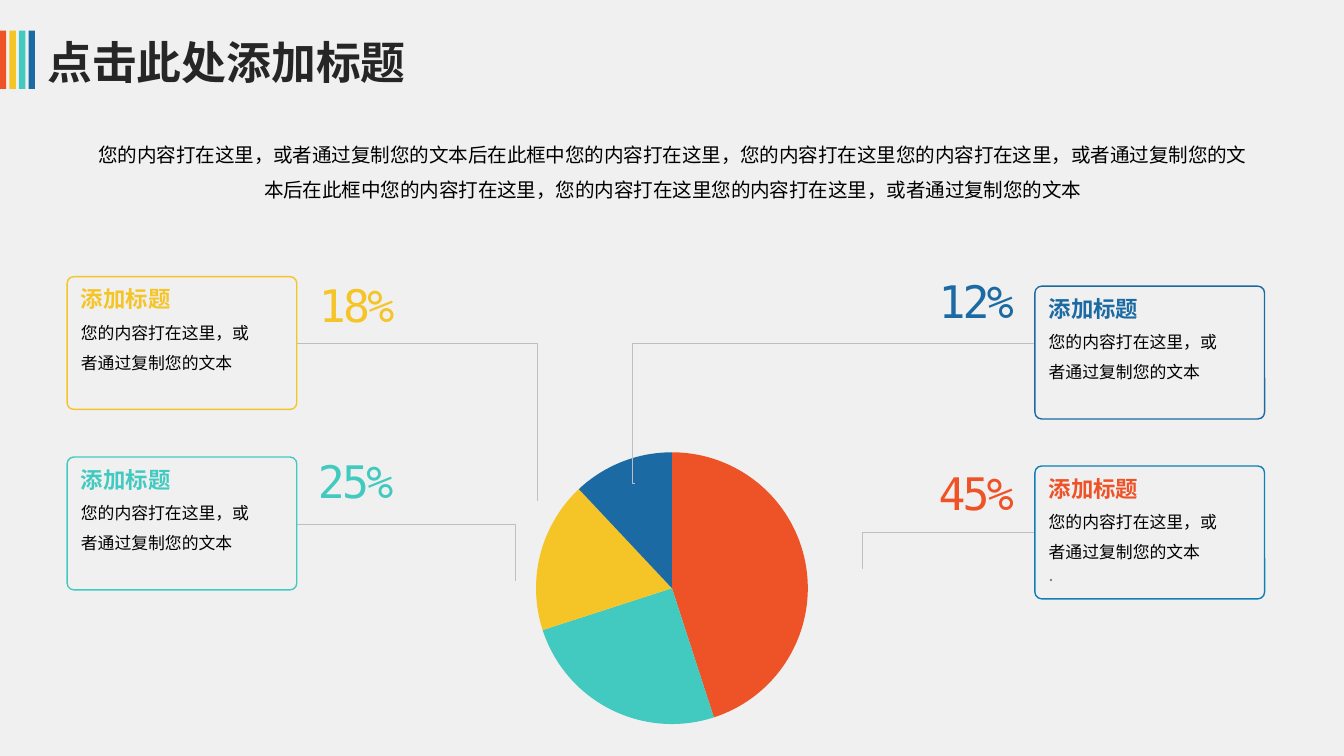
from dataclasses import dataclass

from lxml import etree
from pptx import Presentation
from pptx.chart.data import CategoryChartData
from pptx.dml.color import RGBColor
from pptx.enum.chart import XL_CHART_TYPE
from pptx.enum.shapes import MSO_CONNECTOR, MSO_SHAPE
from pptx.enum.text import MSO_ANCHOR, MSO_AUTO_SIZE, PP_ALIGN
from pptx.oxml.ns import qn
from pptx.util import Cm, Pt

PIE = XL_CHART_TYPE.PIE
ELBOW = MSO_CONNECTOR.ELBOW
RECT = MSO_SHAPE.RECTANGLE
ROUNDED = MSO_SHAPE.ROUNDED_RECTANGLE
MIDDLE = MSO_ANCHOR.MIDDLE
GROW = MSO_AUTO_SIZE.SHAPE_TO_FIT_TEXT
CENTER = PP_ALIGN.CENTER


@dataclass(frozen=True)
class Theme:
    background: str = "F0F0F0"
    red: str = "ED5326"
    yellow: str = "F5C527"
    teal: str = "42CAC0"
    blue: str = "1B6AA3"
    bright_blue: str = "0E7FB7"
    title: str = "262626"
    text: str = "000000"
    dot: str = "808080"
    leader: str = "BFBFBF"
    latin: str = "Calibri"
    cjk: str = "Noto Sans CJK SC"
    mono: str = "DejaVu Sans Mono"
    title_size: float = 24
    percent_size: float = 24
    heading_size: float = 12
    intro_size: float = 10.5
    body_size: float = 9
    chart_size: float = 18


T = Theme()
CARD_W, CARD_H = 4.34, 2.51
LEFT_X, RIGHT_X = 1.27, 19.56
HEADING = "添加标题"
BODY = "您的内容打在这里，或者通过复制您的文本"
INTRO = (
    "您的内容打在这里，或者通过复制您的文本后在此框中您的内容打在这里，"
    "您的内容打在这里您的内容打在这里，或者通过复制您的文本后在此框中"
    "您的内容打在这里，您的内容打在这里您的内容打在这里，或者通过复制您的文本"
)


def rgb(color):
    return RGBColor.from_string(color)


def style(p, size, color, font=T.cjk, bold=False, spacing=None, align=None):
    p.line_spacing = spacing
    p.alignment = align
    for r in p.runs:
        r.font.size = Pt(size)
        r.font.bold = bold
        r.font.name = font
        r.font.color.rgb = rgb(color)
        ea = etree.SubElement(r.font._element, qn("a:ea"))
        ea.set("typeface", T.cjk)


def add_shape(slide, kind, x, y, w, h, fill=None, line=None):
    sp = slide.shapes.add_shape(kind, Cm(x), Cm(y), Cm(w), Cm(h))
    sp.shadow.inherit = False
    if fill:
        sp.fill.solid()
        sp.fill.fore_color.rgb = rgb(fill)
    else:
        sp.fill.background()
    if line:
        sp.line.color.rgb = rgb(line)
        sp.line.width = Pt(0.75)
    else:
        sp.line.fill.background()
    return sp


def add_text(slide, x, y, w, h, text, wrap=True):
    tf = slide.shapes.add_textbox(Cm(x), Cm(y), Cm(w), Cm(h)).text_frame
    tf.margin_left = tf.margin_right = Cm(0.13)
    tf.margin_top = tf.margin_bottom = Cm(0.07)
    tf.word_wrap = wrap
    tf.auto_size = GROW
    tf.text = text
    return tf


def add_title(slide):
    for i, color in enumerate((T.red, T.yellow, T.teal, T.blue)):
        add_shape(slide, RECT, i * 0.18, 0.58, 0.12, 1.1, fill=color)
    sp = add_shape(slide, ROUNDED, 0.46, 0.53, 8.81, 1.27)
    sp.adjustments[0] = 0.5
    tf = sp.text_frame
    tf.vertical_anchor = MIDDLE
    tf.text = "点击此处添加标题"
    style(tf.paragraphs[0], T.title_size, T.title, T.latin, True, align=PP_ALIGN.LEFT)


def add_intro(slide):
    tf = add_text(slide, 1.55, 2.44, 22.35, 1.42, INTRO)
    tf.vertical_anchor = MIDDLE
    style(tf.paragraphs[0], T.intro_size, T.text, spacing=1.5, align=CENTER)


def add_pie(slide):
    data = CategoryChartData()
    data.categories = ["1", "2", "3", "4"]
    data.add_series("Series 1", (45, 25, 18, 12))
    chart = slide.shapes.add_chart(PIE, Cm(7.06), Cm(8.2), Cm(11.28), Cm(5.84), data).chart
    chart.has_legend = False
    chart.has_title = False
    chart.font.name = T.latin
    chart.font.size = Pt(T.chart_size)
    chart.font.color.rgb = rgb(T.text)
    plot = chart.plots[0]
    plot.vary_by_categories = False
    for i, color in enumerate((T.red, T.teal, T.yellow, T.blue)):
        fill = plot.series[0].points[i].format.fill
        fill.solid()
        fill.fore_color.rgb = rgb(color)
    area = chart._chartSpace.find(".//" + qn("c:plotArea"))
    layout = area.find(qn("c:layout"))
    if layout is None:
        layout = etree.Element(qn("c:layout"))
        area.insert(0, layout)
    manual = etree.SubElement(layout, qn("c:manualLayout"))
    settings = (("layoutTarget", "inner"), ("xMode", "edge"), ("yMode", "edge"),
                ("x", "0.27"), ("y", "0.06"), ("w", "0.46"), ("h", "0.88"))
    for name, value in settings:
        etree.SubElement(manual, qn("c:" + name)).set("val", value)


def add_card(slide, x, y, color, border, dot=False):
    sp = add_shape(slide, ROUNDED, x, y, CARD_W, CARD_H, line=border)
    sp.adjustments[0] = 0.05
    tf = add_text(slide, x + 0.13, y - 0.16, 3.68, 2.49 if dot else 2.06, HEADING)
    style(tf.paragraphs[0], T.heading_size, color, bold=True, spacing=1.5)
    p = tf.add_paragraph()
    p.text = BODY
    style(p, T.body_size, T.text, spacing=1.5)
    if dot:
        p = tf.add_paragraph()
        p.text = "."
        style(p, T.intro_size, T.dot, T.latin)


def add_percent(slide, x, y, text, color):
    tf = add_text(slide, x, y, 1.8, 1.14, text, wrap=False)
    p = tf.paragraphs[0]
    style(p, T.percent_size, color, T.mono, align=CENTER)
    p.runs[0].font._element.set("spc", "-150")


def add_leader(slide, x1, y1, x2, y2, bend):
    cxn = slide.shapes.add_connector(ELBOW, Cm(x1), Cm(y1), Cm(x2), Cm(y2))
    cxn.line.color.rgb = rgb(T.leader)
    cxn.line.width = Pt(0.5)
    props = cxn._element.spPr
    guides = props.find(qn("a:prstGeom")).find(qn("a:avLst"))
    guide = etree.SubElement(guides, qn("a:gd"))
    guide.set("name", "adj1")
    guide.set("fmla", f"val {bend}")
    etree.SubElement(props, qn("a:effectLst"))


def main():
    prs = Presentation()
    prs.slide_width, prs.slide_height = Cm(25.4), Cm(14.29)
    slide = prs.slides.add_slide(prs.slide_layouts[6])
    slide.background.fill.solid()
    slide.background.fill.fore_color.rgb = rgb(T.background)
    add_title(slide)
    add_intro(slide)
    add_pie(slide)

    left_edge = LEFT_X + CARD_W
    add_leader(slide, left_edge, 6.5, 10.16, 9.47, 100100)
    add_leader(slide, left_edge, 9.91, 9.73, 10.97, 100200)
    add_leader(slide, RIGHT_X, 6.5, 12.01, 9.14, 100800)
    add_leader(slide, RIGHT_X, 10.06, 16.31, 10.74, 100500)

    add_card(slide, LEFT_X, 5.23, T.yellow, T.yellow)
    add_card(slide, LEFT_X, 8.64, T.teal, T.teal)
    add_card(slide, RIGHT_X, 5.41, T.blue, T.blue)
    add_card(slide, RIGHT_X, 8.81, T.red, T.bright_blue, dot=True)

    add_percent(slide, 5.84, 5.18, "18%", T.yellow)
    add_percent(slide, 5.82, 8.51, "25%", T.teal)
    add_percent(slide, 17.55, 5.11, "12%", T.blue)
    add_percent(slide, 17.55, 8.74, "45%", T.red)
    prs.save("out.pptx")


if __name__ == "__main__":
    main()
